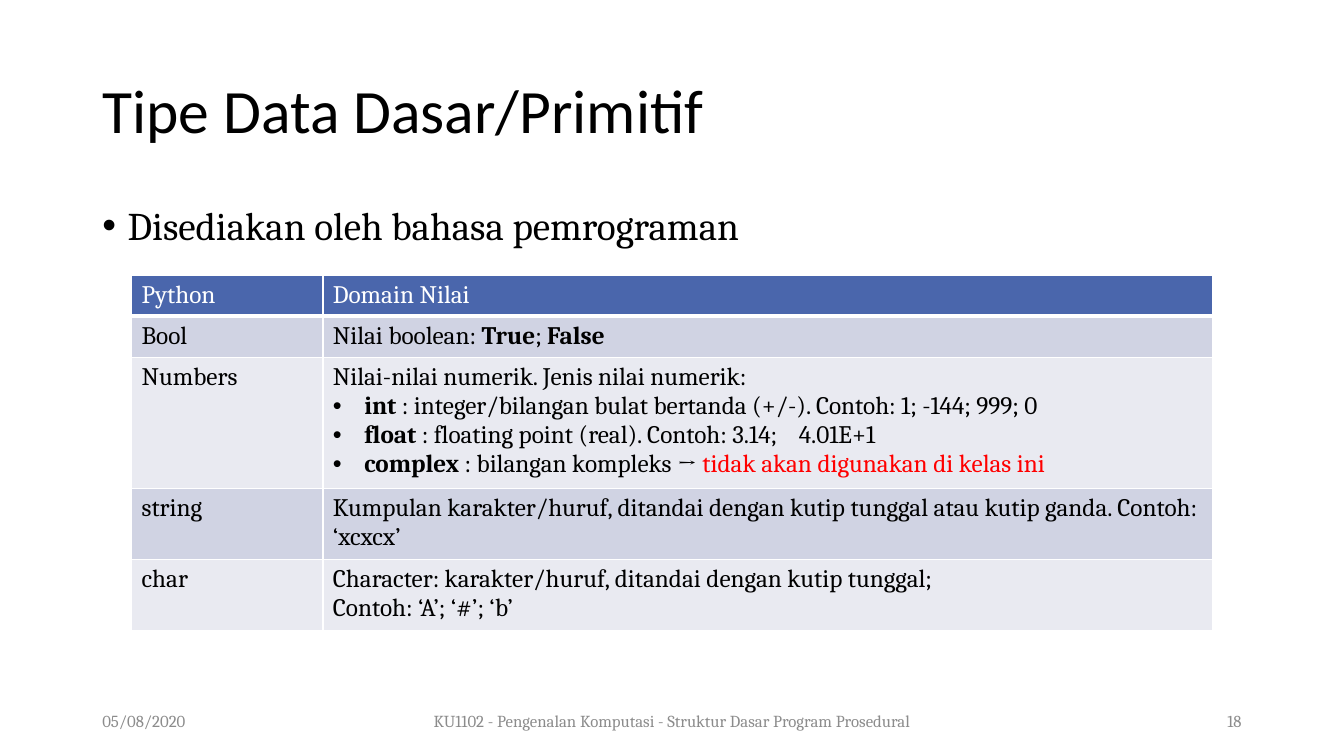
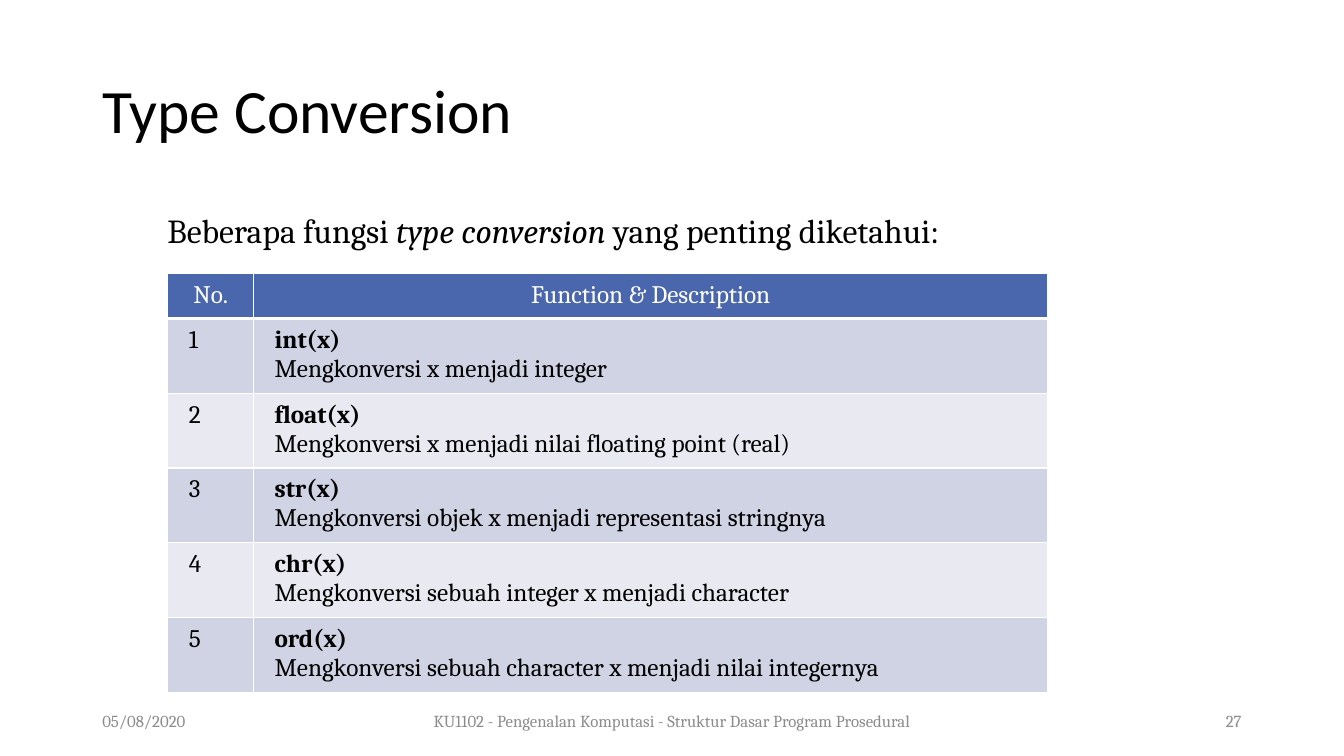
from dataclasses import dataclass

from lxml.etree import SubElement
from pptx import Presentation
from pptx.dml.color import RGBColor
from pptx.enum.text import MSO_ANCHOR, PP_ALIGN
from pptx.oxml.ns import qn
from pptx.util import Cm, Pt

BLACK = RGBColor(0x00, 0x00, 0x00)
WHITE = RGBColor(0xFF, 0xFF, 0xFF)
RED = RGBColor(0xFF, 0x00, 0x00)
GREY = RGBColor(0x8C, 0x8C, 0x8C)
HEADER_BLUE = RGBColor(0x4A, 0x66, 0xAC)
BANDS = (RGBColor(0xD0, 0xD3, 0xE3), RGBColor(0xE9, 0xEA, 0xF1))
TITLE_FONT = "Calibri"
BODY_FONT = "Cambria"
MARGIN_LEFT = 2.33
CONTENT_WIDTH = 29.21


@dataclass
class Span:
    text: str
    bold: bool = False
    italic: bool = False
    color: RGBColor = None


@dataclass
class Line:
    spans: list
    align: PP_ALIGN = PP_ALIGN.LEFT
    indent: float = 0
    tab_stop: float = 0
    spacing: float = 1.0
    before: float = 0


@dataclass
class TableStyle:
    header_align: PP_ALIGN = PP_ALIGN.LEFT
    margin_side: float = 0.25
    margin_top: float = 0.13


class Deck:
    date = "05/08/2020"
    course = "KU1102 - Pengenalan Komputasi - Struktur Dasar Program Prosedural"

    def __init__(self):
        self.presentation = Presentation()
        self.presentation.slide_width = Cm(33.87)
        self.presentation.slide_height = Cm(19.05)
        self.slide = None

    def start_slide(self, title, number):
        layout = self.presentation.slide_layouts[6]
        self.slide = self.presentation.slides.add_slide(layout)
        self.text((MARGIN_LEFT, 1.01, CONTENT_WIDTH, 3.68),
                  [Line([Span(title)], spacing=0.9)], 44,
                  font=TITLE_FONT, anchor=MSO_ANCHOR.MIDDLE)
        left = MARGIN_LEFT
        for words, width, align in (
            (self.date, 7.62, PP_ALIGN.LEFT),
            (self.course, 13.97, PP_ALIGN.CENTER),
            (str(number), 7.62, PP_ALIGN.RIGHT),
        ):
            self.text((left, 17.66, width, 1.01), [Line([Span(words)], align)],
                      12, color=GREY, anchor=MSO_ANCHOR.MIDDLE)
            left += width

    def text(self, box, lines, size, font=BODY_FONT, color=BLACK,
             anchor=MSO_ANCHOR.TOP):
        shape = self.slide.shapes.add_textbox(*(Cm(length) for length in box))
        shape.text_frame.word_wrap = True
        shape.text_frame.vertical_anchor = anchor
        self.fill_text(shape.text_frame, lines, size, font, color)

    def fill_text(self, frame, lines, size, font, color):
        for index, line in enumerate(lines):
            paragraph = frame.add_paragraph() if index else frame.paragraphs[0]
            paragraph.alignment = line.align
            paragraph.line_spacing = line.spacing
            paragraph.space_before = Pt(line.before)
            self.indent(paragraph, line)
            for span in line.spans:
                run = paragraph.add_run()
                run.text = span.text
                run.font.name = font
                run.font.size = Pt(size)
                run.font.bold = span.bold
                run.font.italic = span.italic
                run.font.color.rgb = span.color or color

    def indent(self, paragraph, line):
        properties = paragraph._p.get_or_add_pPr()
        if line.indent:
            properties.set("marL", str(Cm(line.indent)))
            properties.set("indent", str(-Cm(line.indent)))
            SubElement(properties, qn("a:buFont"), typeface="Arial")
            SubElement(properties, qn("a:buChar"), char="•")
        if line.tab_stop:
            stops = SubElement(properties, qn("a:tabLst"))
            SubElement(stops, qn("a:tab"), pos=str(Cm(line.tab_stop)), algn="l")

    def table(self, left, top, widths, heights, rows, style):
        shape = self.slide.shapes.add_table(
            len(rows), len(widths), Cm(left), Cm(top),
            Cm(sum(widths)), Cm(sum(heights)))
        table = shape.table
        for column, width in zip(table.columns, widths):
            column.width = Cm(width)
        for row, height in zip(table.rows, heights):
            row.height = Cm(height)
        for row_index, row in enumerate(rows):
            for column_index, lines in enumerate(row):
                cell = table.cell(row_index, column_index)
                self.cell(cell, row_index, lines, style)

    def cell(self, cell, row_index, lines, style):
        is_header = row_index == 0
        cell.margin_left = cell.margin_right = Cm(style.margin_side)
        cell.margin_top = cell.margin_bottom = Cm(style.margin_top)
        self.borders(cell, 3 if is_header else 1)
        cell.fill.solid()
        cell.fill.fore_color.rgb = (
            HEADER_BLUE if is_header else BANDS[(row_index - 1) % 2])
        if is_header:
            for line in lines:
                line.align = style.header_align
        self.fill_text(cell.text_frame, lines, 18, BODY_FONT,
                       WHITE if is_header else BLACK)

    def borders(self, cell, bottom_width):
        properties = cell._tc.get_or_add_tcPr()
        for side, width in (("L", 1), ("R", 1), ("T", 1), ("B", bottom_width)):
            border = SubElement(properties, qn("a:ln" + side), w=str(Pt(width)))
            fill = SubElement(border, qn("a:solidFill"))
            SubElement(fill, qn("a:srgbClr"), val=str(WHITE))


def plain(*texts):
    return [Line([Span(text)]) for text in texts]


def number_type(name, *spans, tab_stop=0):
    return Line([Span(name, bold=True), *spans], indent=0.79, tab_stop=tab_stop)


def add_basic_types(deck):
    deck.start_slide("Tipe Data Dasar/Primitif", 18)
    deck.text((MARGIN_LEFT, 5.08, CONTENT_WIDTH, 12.09),
              [Line([Span("Disediakan oleh bahasa pemrograman")],
                    indent=0.64, spacing=0.9, before=10)], 28)
    booleans = Line([Span("Nilai boolean: "), Span("True", bold=True),
                     Span("; "), Span("False", bold=True)])
    numbers = plain("Nilai-nilai numerik. Jenis nilai numerik:") + [
        number_type("int", Span(
            " : integer/bilangan bulat bertanda (+/-). Contoh: 1; -144; 999; 0")),
        number_type("float", Span(
            " : floating point (real). Contoh: 3.14;\t4.01E+1"), tab_stop=11.74),
        number_type("complex", Span(" : bilangan kompleks → "),
                    Span("tidak akan digunakan di kelas ini", color=RED)),
    ]
    rows = [
        (plain("Python"), plain("Domain Nilai")),
        (plain("Bool"), [booleans]),
        (plain("Numbers"), numbers),
        (plain("string"), plain(
            "Kumpulan karakter/huruf, ditandai dengan kutip tunggal "
            "atau kutip ganda. Contoh: ‘xcxcx’")),
        (plain("char"), plain(
            "Character: karakter/huruf, ditandai dengan kutip tunggal;",
            "Contoh: ‘A’; ‘#’; ‘b’")),
    ]
    deck.table(3.32, 6.94, (4.82, 22.43), (1.03, 1.03, 3.2, 1.72, 1.72),
               rows, TableStyle())


def add_type_conversion(deck):
    deck.start_slide("Type Conversion", 27)
    deck.text((3.97, 5.16, 21.18, 1.28),
              [Line([Span("Beberapa fungsi "),
                     Span("type conversion ", italic=True),
                     Span("yang penting diketahui:")])], 24)
    functions = (
        ("int(x)", "Mengkonversi x menjadi integer"),
        ("float(x)", "Mengkonversi x menjadi nilai floating point (real)"),
        ("str(x)", "Mengkonversi objek x menjadi representasi stringnya"),
        ("chr(x)", "Mengkonversi sebuah integer x menjadi character"),
        ("ord(x)", "Mengkonversi sebuah character x menjadi nilai integernya"),
    )
    rows = [(plain("No."), plain("Function & Description"))]
    for number, (name, description) in enumerate(functions, 1):
        rows.append((plain(str(number)), [
            Line([Span(name, bold=True)], PP_ALIGN.JUSTIFY),
            Line([Span(description)], PP_ALIGN.JUSTIFY),
        ]))
    deck.table(4.23, 6.9, (2.16, 20.02), [1.07] + [1.81] * len(functions),
               rows, TableStyle(PP_ALIGN.CENTER, 0.53, 0.18))


def main():
    deck = Deck()
    add_basic_types(deck)
    add_type_conversion(deck)
    deck.presentation.save("out.pptx")


if __name__ == "__main__":
    main()
